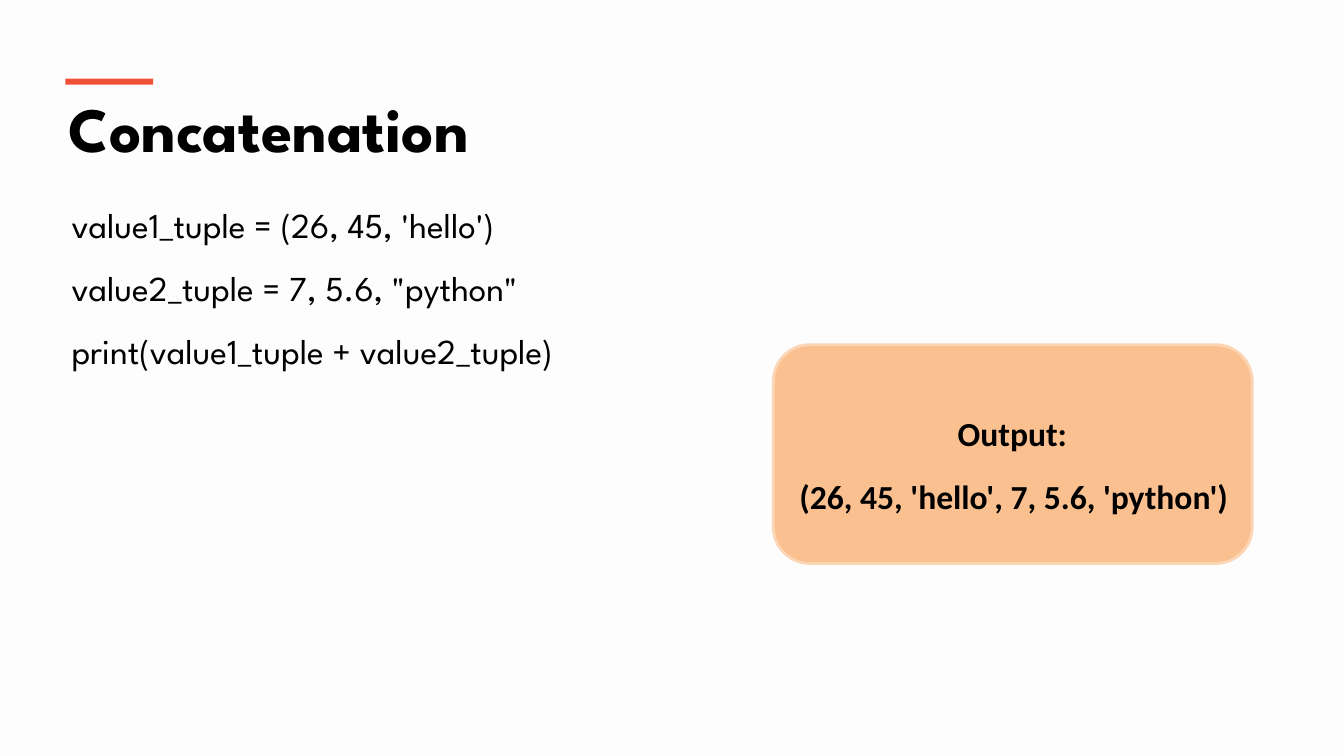
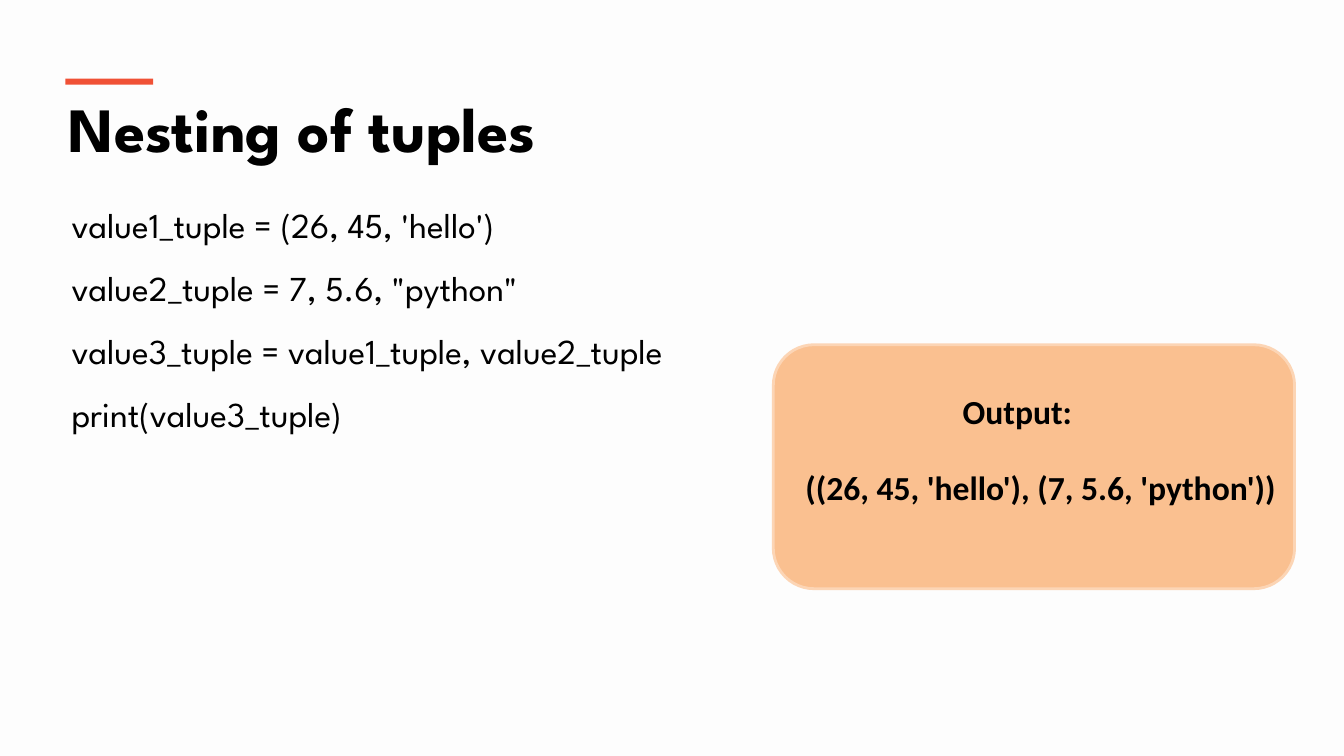
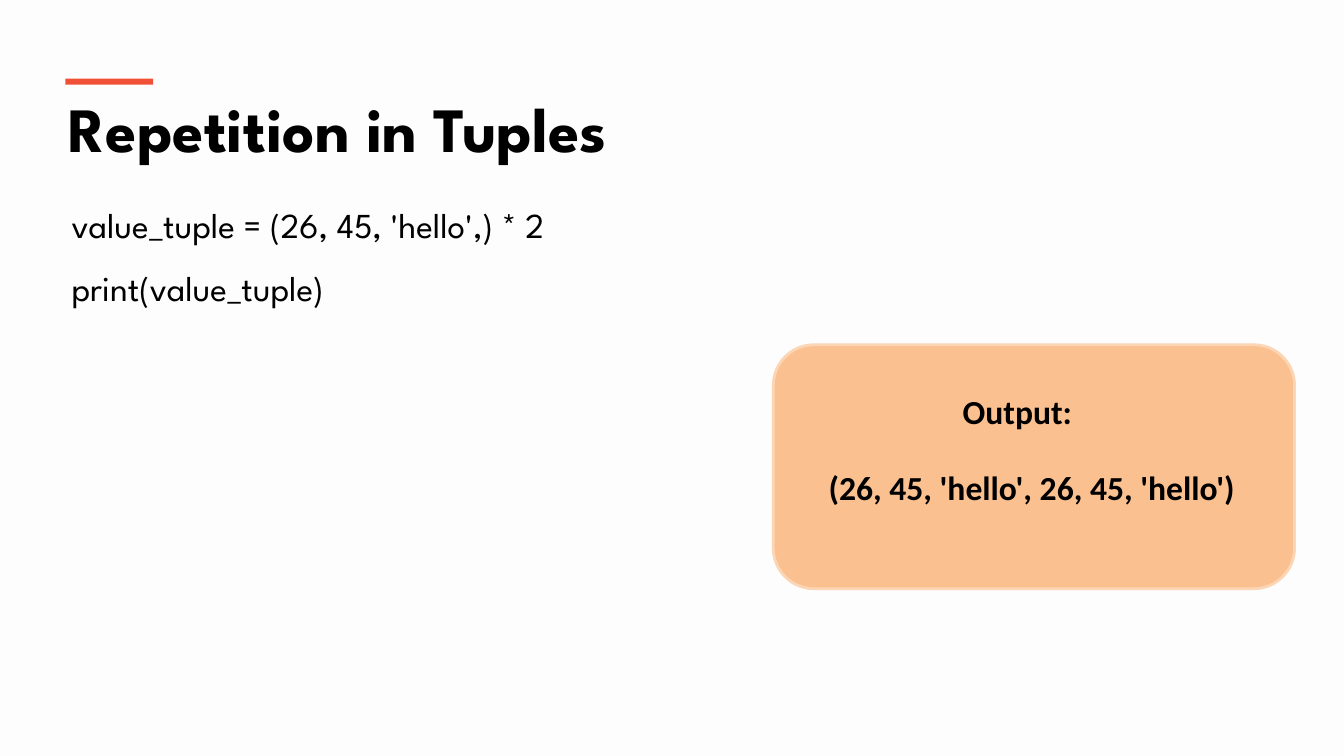
import pptx
import pptx.util
import pptx.dml.color
import pptx.enum.shapes
import pptx.enum.text
import pptx.oxml.ns
from lxml import etree

Inches = pptx.util.Inches
Pt = pptx.util.Pt
RGBColor = pptx.dml.color.RGBColor

PAPER = RGBColor(0xFD, 0xFD, 0xFD)
INK = RGBColor(0x00, 0x00, 0x00)
ACCENT = RGBColor(0xF0, 0x51, 0x36)
PANEL = RGBColor(0xFA, 0xC0, 0x90)
PANEL_EDGE = RGBColor(0xFC, 0xD5, 0xB5)

HEADING_FONT = "League Spartan"
OUTPUT_FONT = "Calibri"


class Deck:
    """Holds the shared style and the slide being built."""

    def __init__(self):
        self.prs = pptx.Presentation()
        self.prs.slide_width = Inches(13.33)
        self.prs.slide_height = Inches(7.5)
        fill = self.prs.slide_master.background.fill
        fill.solid()
        fill.fore_color.rgb = PAPER
        self.s = None

    def place(self, sp, left, top, width, height):
        sp.left, sp.top = Inches(left), Inches(top)
        sp.width, sp.height = Inches(width), Inches(height)

    def style(self, p, font, size, bold=False):
        p.alignment = pptx.enum.text.PP_ALIGN.LEFT
        for r in p.runs:
            r.font.name = font
            r.font.size = Pt(size)
            r.font.bold = bold
            r.font.color.rgb = INK

    def new_slide(self, title):
        self.s = self.prs.slides.add_slide(self.prs.slide_layouts[1])
        sp = self.s.shapes.title
        self.place(sp, 0.58, 0.84, 12.18, 0.86)
        tf = sp.text_frame
        tf.text = title
        tf.auto_size = pptx.enum.text.MSO_AUTO_SIZE.NONE
        tf.vertical_anchor = pptx.enum.text.MSO_ANCHOR.TOP
        self.style(tf.paragraphs[0], HEADING_FONT, 45, True)
        self.box(pptx.enum.shapes.MSO_SHAPE.RECTANGLE, 0.65, 0.78, 0.87, 0.06, ACCENT)

    def box(self, kind, left, top, width, height, color, edge=None):
        sp = self.s.shapes.add_shape(kind, Inches(left), Inches(top), Inches(width), Inches(height))
        sp.shadow.inherit = False
        sp.fill.solid()
        sp.fill.fore_color.rgb = color
        if edge is None:
            sp.line.fill.background()
        else:
            sp.line.color.rgb = edge
            sp.line.width = Pt(2)

    def code(self, lines):
        """Fills the body placeholder with unbulleted lines of code."""
        sp = self.s.placeholders[1]
        self.place(sp, 0.61, 1.76, 12.14, 0.1 + 0.62 * len(lines))
        tf = sp.text_frame
        tf.text = "\n".join(lines)
        tf.auto_size = pptx.enum.text.MSO_AUTO_SIZE.NONE
        for p in tf.paragraphs:
            self.style(p, HEADING_FONT, 25)
            p.line_spacing = 1.5
            p.space_before = Pt(0)
            pPr = p._p.get_or_add_pPr()
            pPr.set("marL", "0")
            pPr.set("indent", "0")
            etree.SubElement(pPr, pptx.oxml.ns.qn("a:buNone"))

    def panel(self, width, height):
        self.box(pptx.enum.shapes.MSO_SHAPE.ROUNDED_RECTANGLE, 7.67, 3.42, width, height,
                 PANEL, PANEL_EDGE)

    def output_text(self, text, left, top, width):
        sp = self.s.shapes.add_textbox(Inches(left), Inches(top), Inches(width), Inches(0.5))
        tf = sp.text_frame
        tf.text = text
        tf.word_wrap = False
        self.style(tf.paragraphs[0], OUTPUT_FONT, 24, True)


# title, code, panel size, label position, result, result position and width
SLIDES = [
    ("Concatenation",
     ["value1_tuple = (26, 45, 'hello')",
      "value2_tuple = 7, 5.6, \"python\"",
      "print(value1_tuple + value2_tuple)"],
     (4.75, 2.17), (9.4, 4.05),
     "(26, 45, 'hello', 7, 5.6, 'python')", (7.83, 4.67, 4.52)),
    ("Nesting of tuples",
     ["value1_tuple = (26, 45, 'hello')",
      "value2_tuple = 7, 5.6, \"python\"",
      "value3_tuple = value1_tuple, value2_tuple",
      "print(value3_tuple)"],
     (5.17, 2.42), (9.45, 3.83),
     "((26, 45, 'hello'), (7, 5.6, 'python'))", (7.89, 4.58, 4.94)),
    ("Repetition in Tuples",
     ["value_tuple = (26, 45, 'hello',) * 2",
      "print(value_tuple)"],
     (5.17, 2.42), (9.45, 3.83),
     "(26, 45, 'hello', 26, 45, 'hello')", (8.12, 4.58, 4.3)),
]


def main():
    deck = Deck()
    for title, lines, panel_size, label_at, result, result_at in SLIDES:
        deck.new_slide(title)
        deck.code(lines)
        deck.panel(*panel_size)
        deck.output_text("Output:", *label_at, 1.3)
        deck.output_text(result, *result_at)
    deck.prs.save("out.pptx")


if __name__ == "__main__":
    main()
